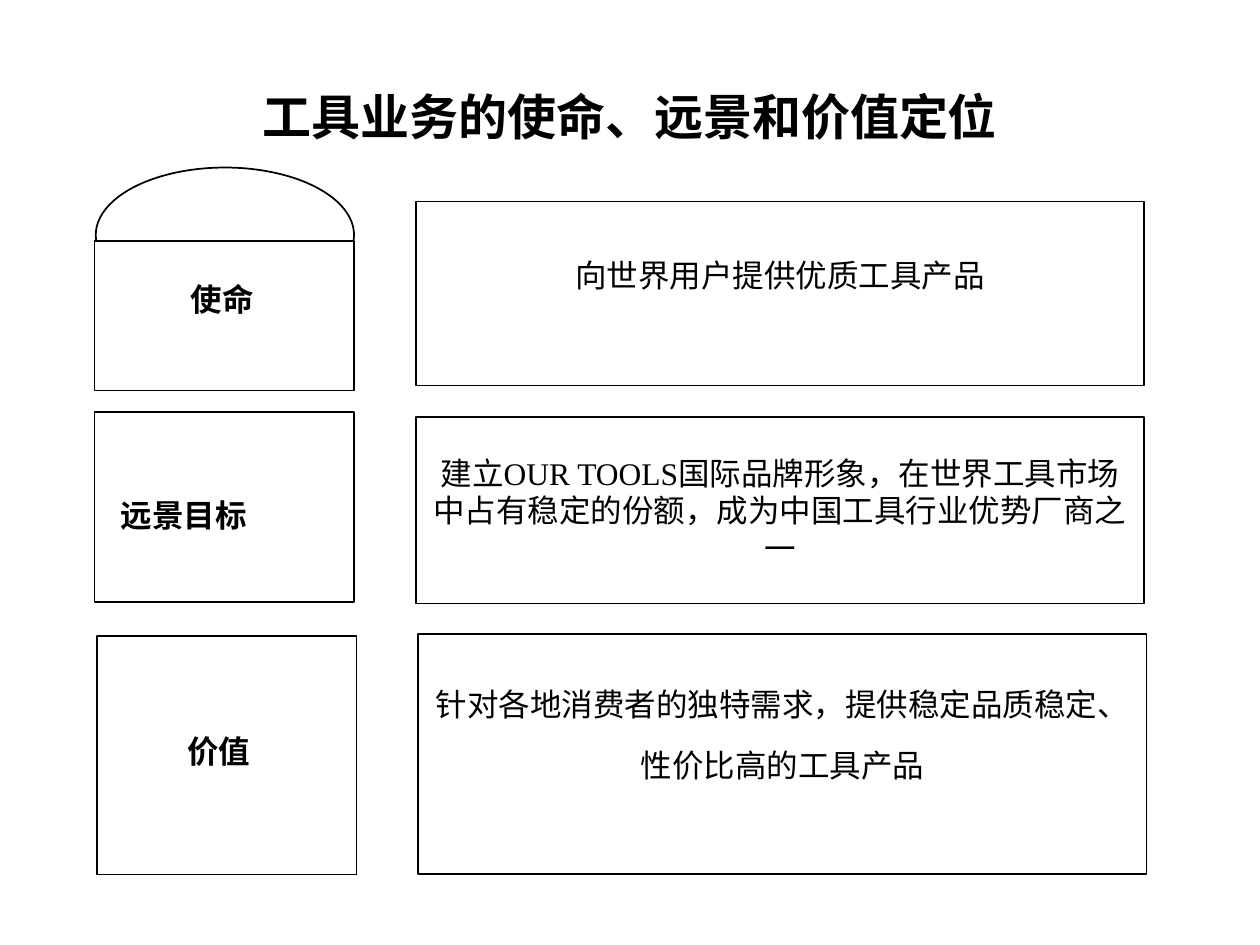
from pptx import Presentation
from pptx.dml.color import RGBColor
from pptx.enum import shapes, text
from pptx.util import Inches, Pt

THEME = {
    "font": "Times New Roman",
    "ink": RGBColor(0, 0, 0),
    "paper": RGBColor(255, 255, 255),
    "title_size": Pt(28),
    "body_size": Pt(18),
    "line_width": Pt(1),
}
CENTER, LEFT = text.PP_ALIGN.CENTER, text.PP_ALIGN.LEFT
TOP, MIDDLE = text.MSO_ANCHOR.TOP, text.MSO_ANCHOR.MIDDLE
RECTANGLE, OVAL = shapes.MSO_SHAPE.RECTANGLE, shapes.MSO_SHAPE.OVAL

TITLE = "工具业务的使命、远景和价值定位"
TITLE_BOX = (0.75, 0.67, 8.5, 0.5)
DOME = (0.76, 1.33, 2.05, 1.07)
NAME_WIDTH, STATEMENT_WIDTH = 2.06, 5.78

# name and statement boxes: left, top, height; label: left, top, width
# bottom: space under the statement, which lifts it above the middle
ROWS = [
    {"name": "使命", "name_box": (0.75, 1.91, 1.19),
     "label": (1.14, 2.22, 1.25), "align": CENTER,
     "statement": "向世界用户提供优质工具产品",
     "statement_box": (3.3, 1.6, 1.46), "bottom": 0.35, "spacing": 1.0},
    {"name": "远景目标", "name_box": (0.75, 3.27, 1.51),
     "label": (0.96, 3.94, 1.75), "align": LEFT,
     "statement": "建立OUR TOOLS国际品牌形象，在世界工具市场中占有稳定的份额，"
                  "成为中国工具行业优势厂商之一",
     "statement_box": (3.3, 3.31, 1.48), "bottom": 0.05, "spacing": 1.0},
    {"name": "价值", "name_box": (0.77, 5.05, 1.89),
     "label": (1.11, 5.81, 1.25), "align": CENTER,
     "statement": "针对各地消费者的独特需求，提供稳定品质稳定、性价比高的工具产品",
     "statement_box": (3.32, 5.03, 1.91), "bottom": 0.54, "spacing": 1.6},
]


def add_box(slide, kind, box):
    shape = slide.shapes.add_shape(kind, *map(Inches, box))
    shape.shadow.inherit = False
    shape.fill.solid()
    shape.fill.fore_color.rgb = THEME["paper"]
    shape.line.color.rgb = THEME["ink"]
    shape.line.width = THEME["line_width"]
    return shape


def write(shape, words, size, bold=False, align=CENTER, anchor=MIDDLE,
          margins=(0.1, 0.05, 0.1, 0.05), spacing=1.0):
    """Fill a shape with one paragraph; margins run left, top, right, bottom."""
    frame = shape.text_frame
    frame.word_wrap = True
    frame.vertical_anchor = anchor
    for side, margin in zip(("left", "top", "right", "bottom"), margins):
        setattr(frame, f"margin_{side}", Inches(margin))
    paragraph = frame.paragraphs[0]
    paragraph.alignment = align
    paragraph.line_spacing = spacing
    run = paragraph.add_run()
    run.text = words
    for key, value in {"name": THEME["font"], "size": size, "bold": bold}.items():
        setattr(run.font, key, value)
    run.font.color.rgb = THEME["ink"]


def add_row(slide, row):
    left, top, height = row["statement_box"]
    statement = add_box(slide, RECTANGLE, (left, top, STATEMENT_WIDTH, height))
    write(statement, row["statement"], THEME["body_size"],
          margins=(0.1, 0.05, 0.1, row["bottom"]), spacing=row["spacing"])

    left, top, height = row["name_box"]
    add_box(slide, RECTANGLE, (left, top, NAME_WIDTH, height))

    left, top, width = row["label"]
    label = slide.shapes.add_textbox(*map(Inches, (left, top, width, 0.3)))
    write(label, row["name"], THEME["body_size"], bold=True, align=row["align"],
          anchor=TOP, margins=(0, 0, 0, 0))


def main():
    presentation = Presentation()
    presentation.slide_width, presentation.slide_height = Inches(10), Inches(7.5)
    slide = presentation.slides.add_slide(presentation.slide_layouts[6])

    title = slide.shapes.add_textbox(*map(Inches, TITLE_BOX))
    write(title, TITLE, THEME["title_size"], bold=True)
    add_box(slide, OVAL, DOME)
    for row in ROWS:
        add_row(slide, row)

    presentation.save("out.pptx")


if __name__ == "__main__":
    main()
